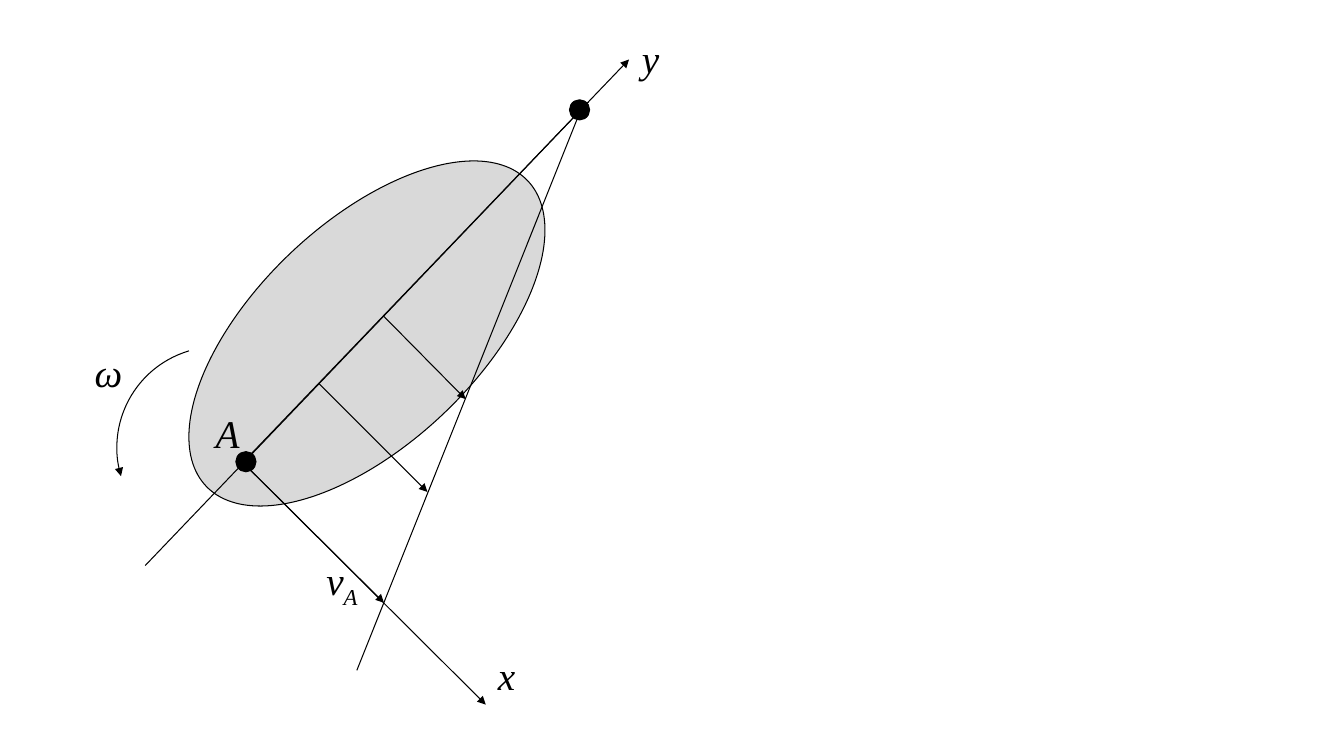
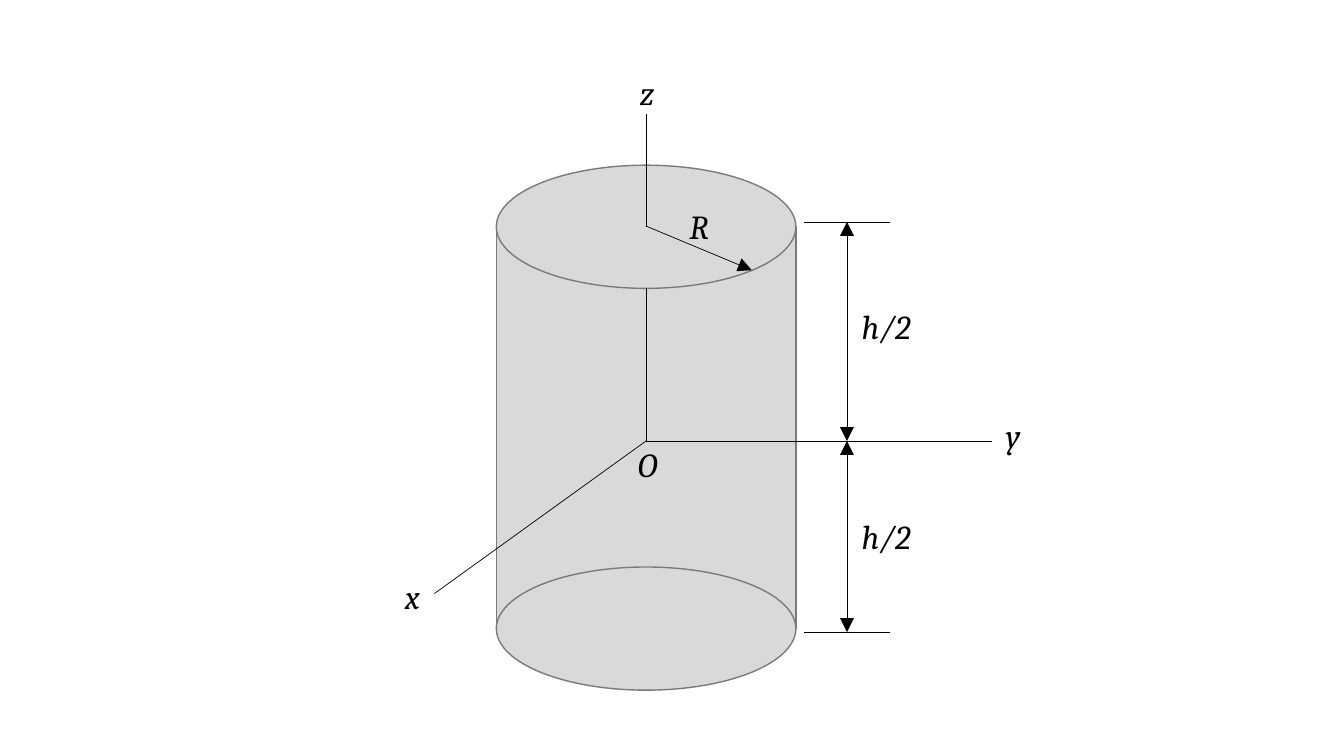
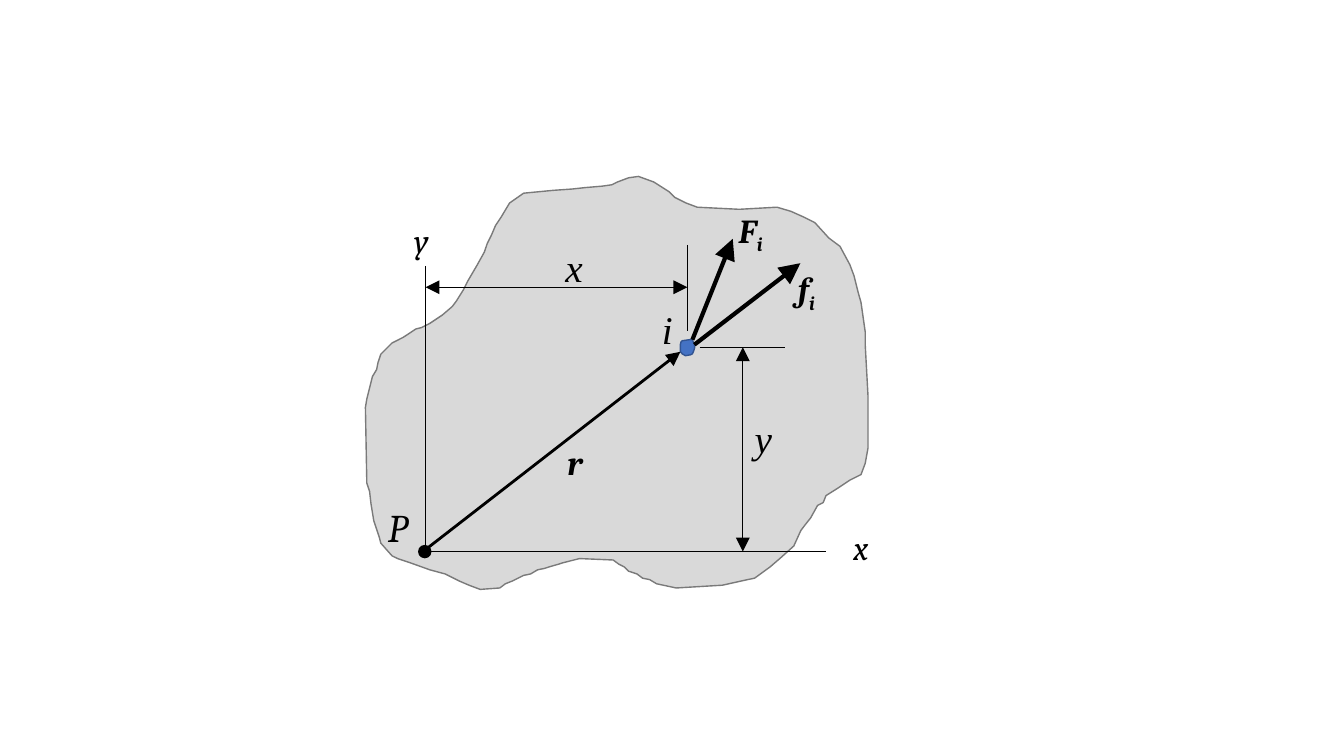
from lxml import etree
from pptx import Presentation
from pptx.dml.color import RGBColor
from pptx.enum import shapes
from pptx.oxml import ns
from pptx.util import Pt

BLACK = RGBColor(0, 0, 0)
GREY = RGBColor(0xD9, 0xD9, 0xD9)
EDGE = RGBColor(0x7A, 0x7A, 0x7A)
BLUE = RGBColor(0x44, 0x72, 0xC4)
NAVY = RGBColor(0x32, 0x54, 0x91)
TIMES, CAMBRIA = "Times New Roman", "Cambria"
KIND = shapes.MSO_SHAPE

BLOB = [
    (418, 134), (409, 135), (395, 136), (374, 138), (364, 145), (361, 150),
    (358, 155), (354, 161), (351, 168), (348, 174), (346, 180), (341, 189),
    (334, 201), (331, 207), (326, 215), (323, 219), (316, 225), (307, 231),
    (301, 234), (297, 235), (288, 241), (280, 245), (272, 253), (270, 259),
    (269, 264), (266, 269), (262, 285), (261, 291), (262, 345), (264, 351),
    (265, 360), (267, 372), (269, 378), (271, 384), (272, 388), (280, 397),
    (284, 399), (293, 402), (307, 407), (318, 410), (328, 415), (335, 418),
    (343, 421), (357, 420), (361, 417), (366, 415), (374, 411), (379, 410),
    (384, 407), (389, 406), (392, 405), (399, 403), (402, 402), (414, 399),
    (438, 400), (442, 403), (446, 405), (449, 408), (455, 410), (459, 413),
    (464, 414), (469, 417), (483, 420), (516, 418), (534, 414), (539, 413),
    (550, 405), (557, 399), (567, 390), (572, 379), (575, 375), (579, 370),
    (584, 361), (588, 359), (590, 354), (598, 349), (607, 343), (615, 339),
    (618, 331), (620, 320), (620, 283), (618, 246), (618, 237), (615, 216),
    (613, 209), (610, 197), (607, 189), (600, 176), (592, 170), (582, 159),
    (574, 155), (565, 151), (555, 148), (528, 149.5), (498, 148), (490, 145),
    (482, 141), (478, 137), (467, 130), (456, 126), (449, 127), (441, 130),
    (437, 132), (430, 133),
]
GRAIN = [
    (494.6, 242.6), (493, 242.6), (487.4, 243.4), (486.5, 244.2),
    (486, 246.2), (486, 251.2), (487.4, 252.8), (489.6, 254.1),
    (493.2, 253.5), (494.6, 252.8), (495.6, 250.6), (496.2, 248.4),
    (496, 246.2), (495.4, 244.8),
]


class Board:
    """Draws on the current slide; every length is in points."""

    def __init__(self):
        self.deck = Presentation()
        self.deck.slide_width, self.deck.slide_height = Pt(960), Pt(540)

    def start(self, font, size, thin, tip):
        """Open a slide with its label font, line width and arrowhead size."""
        self.items = self.deck.slides.add_slide(self.deck.slide_layouts[6]).shapes
        self.font, self.size, self.thin, self.tip = font, size, thin, tip

    def paint(self, item, fill, edge, width):
        item.shadow.inherit = False
        if fill is None:
            item.fill.background()
        else:
            item.fill.solid()
            item.fill.fore_color.rgb = fill
        item.line.color.rgb = edge
        item.line.width = Pt(width)
        return item

    def shape(self, kind, box, fill=GREY, edge=EDGE, width=1):
        item = self.items.add_shape(kind, *map(Pt, box))
        return self.paint(item, fill, edge, width)

    def dot(self, x, y, size, width):
        box = (x - size / 2, y - size / 2, size, size)
        self.shape(KIND.OVAL, box, BLACK, BLACK, width)

    def outline(self, spots, fill, edge):
        first, *rest = [(Pt(x), Pt(y)) for x, y in spots]
        path = self.items.build_freeform(*first)
        path.add_line_segments(rest, close=True)
        self.paint(path.convert_to_shape(), fill, edge, 1)

    def point(self, item, ends):
        """Put arrowheads on the named ends, headEnd before tailEnd."""
        ln = item.line._get_or_add_ln()
        for end in ends:
            etree.SubElement(ln, ns.qn("a:" + end), type="triangle",
                             w=self.tip, len=self.tip)

    def line(self, start, stop, ends=(), width=None):
        item = self.items.add_connector(
            shapes.MSO_CONNECTOR.STRAIGHT, *map(Pt, (*start, *stop)))
        item.line.color.rgb = BLACK
        item.line.width = Pt(width or self.thin)
        self.point(item, ends)
        etree.SubElement(item._element.spPr, ns.qn("a:effectLst"))
        return item

    def arrow(self, start, stop, width=None):
        self.line(start, stop, ["tailEnd"], width)

    def span(self, start, stop):
        """Draw a dimension line with an arrowhead at both ends."""
        self.line(start, stop, ["headEnd", "tailEnd"])

    def label(self, x, y, word, sub="", bold=False, font=None, size=None):
        box = self.items.add_textbox(Pt(x), Pt(y), Pt(66), Pt(36))
        box.text_frame.word_wrap = True
        line = box.text_frame.paragraphs[0]
        for part in filter(None, (word, sub)):
            run = line.add_run()
            run.text = part
            run.font.name = font or self.font
            run.font.size = Pt(size or self.size)
            run.font.italic = True
            run.font.bold = bold
            run.font.color.rgb = BLACK
        if sub:
            run._r.get_or_add_rPr().set("baseline", "-25000")


def motion(b):
    b.start(TIMES, 28, 0.75, "med")
    body = b.shape(KIND.OVAL, (103.7, 159, 316.8, 158.4), GREY, BLACK, 0.75)
    body.rotation = 316.5
    b.label(147, 288.7, "A")
    b.dot(175.7, 329.8, 14.4, 0.75)
    b.line((103.7, 404), (420.5, 72.7))
    turn = b.shape(KIND.ARC, (83.5, 247.7, 144, 144), None, BLACK, 0.75)
    for i, angle in enumerate((163.5, 253.5)):
        turn.adjustments[i] = angle * 0.6  # 60000 units a degree, over 100000
    b.point(turn, ["headEnd"])
    b.label(60.5, 245.5, "ω")
    b.label(226, 394, "v", "A")
    for start, stop in (
        ((175, 331.9), (274.3, 430.6)),
        ((227.5, 273.6), (305.3, 351.4)),
        ((273.6, 225.4), (332.6, 285.1)),
        ((170.6, 333.4), (449.3, 42.5)),
        ((174.2, 331.2), (347, 503.3)),
    ):
        b.arrow(start, stop)
    b.dot(414, 78.5, 14.4, 0.75)
    b.label(451.5, 21, "y")
    b.label(348.5, 461.5, "x")
    b.line((254.9, 478.8), (412.6, 84.2))


def drum(b):
    b.start(CAMBRIA, 24, 0.5, "lg")
    mid, wide, high, top, base = 461.5, 214, 88, 162, 449
    left, zero = mid - wide / 2, 315
    body = b.shape(KIND.RECTANGLE, (left, top, wide, base - top))
    for y in (top, base):
        b.shape(KIND.OVAL, (left, y - high / 2, wide, high))
    b.line((mid, 81.4), (mid, top)).end_connect(body, 0)
    b.line((mid, top + high / 2), (mid, zero))
    b.line((708.5, zero), (mid, zero))
    b.line((310.3, 424), (mid, zero))
    b.arrow((mid, top - 0.5), (537, 193))
    for y in (158.5, 451.5):
        b.span((605, zero), (605, y))
        b.line((574.5, y), (635.8, y))
    for x, y, word in (
        (450, 48.2, "z"), (711.4, 293, "y"), (282.2, 407.5, "x"),
        (485.3, 143.3, "R"), (448.6, 313.2, "O"),
        (608.4, 215.3, "h/2"), (608.4, 365, "h/2"),
    ):
        b.label(x, y, word)


def force(b):
    b.start(CAMBRIA, 24, 0.5, "lg")
    x, y = 304, 394
    far, near = 491, 248
    b.outline(BLOB, GREY, EDGE)
    b.line((x, 190), (x, y))
    b.line((589.7, y), (x, y))
    b.label(288.7, 153.4, "y")
    b.label(602.6, 373, "x")
    b.label(270, 355.7, "P", size=28)
    b.dot(303.4, y, 8.6, 1)
    b.label(398.2, 311.8, "r", bold=True)
    b.outline(GRAIN, BLUE, NAVY)
    b.arrow((306, 391), (486, 251.3), 2)
    b.span((530.6, y), (530.6, near))
    b.line((499.7, near), (560.9, near))
    b.span((x, 205.2), (far, 205.2))
    b.line((far, 175), (far, 236.2))
    b.arrow((494.6, 242.6), (523.4, 170.6), 3)
    b.arrow((496, 246.2), (571.7, 188), 3)
    b.label(520.6, 146.2, "F", "i", True)
    b.label(563, 188, "f", "i", True)
    for spot in ((396.7, 170.6, "x"), (532, 292.3, "y"), (465.8, 214.6, "i")):
        b.label(*spot, font=TIMES, size=28)


def main():
    board = Board()
    for draw in (motion, drum, force):
        draw(board)
    board.deck.save("out.pptx")


if __name__ == "__main__":
    main()
